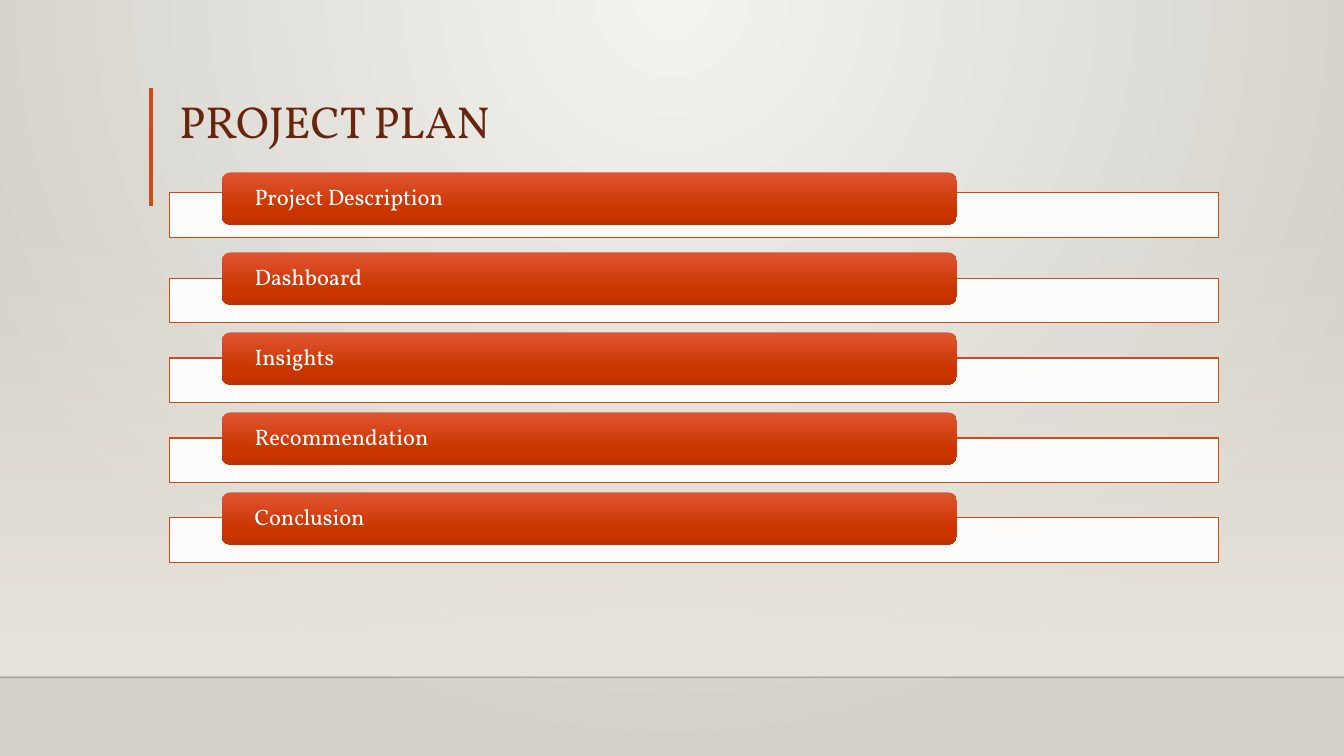
"""Build the project plan slide."""
import dataclasses
import typing

import lxml.etree
import pptx
import pptx.dml.color
import pptx.enum.shapes
import pptx.enum.text
import pptx.oxml.ns
import pptx.util

RGBColor = pptx.dml.color.RGBColor
Shapes = pptx.enum.shapes.MSO_SHAPE
Anchor = pptx.enum.text.MSO_ANCHOR
qn = pptx.oxml.ns.qn

WHITE = RGBColor(0xFF, 0xFF, 0xFF)
BLACK = RGBColor(0x00, 0x00, 0x01)
ORANGE = RGBColor(0xD3, 0x48, 0x17)
BROWN = RGBColor(0x69, 0x24, 0x0C)
BAR_TOP = RGBColor(0xDE, 0x55, 0x33)
BAR_MID = RGBColor(0xCC, 0x35, 0x00)
BAR_END = RGBColor(0xC1, 0x32, 0x00)
SAND = RGBColor(0xE9, 0xE5, 0xDC)
BG_LIGHT = RGBColor(0xF4, 0xF3, 0xF0)
BG_DARK = RGBColor(0xD3, 0xD0, 0xC8)

FONT = "Vollkorn"
WIDTH = pptx.util.Inches(13.33)
HEIGHT = pptx.util.Inches(7.5)
ROW_PITCH = 10.58


@dataclasses.dataclass(frozen=True)
class Box:
    """A rectangle in percent of the slide's width and height."""
    left: float
    top: float
    width: float
    height: float

    def emu(self) -> tuple[int, int, int, int]:
        """Return left, top, width and height in EMU."""
        return (across(self.left), down(self.top),
                across(self.width), down(self.height))

    def lower(self, by: float) -> "Box":
        """Return the box moved down."""
        return dataclasses.replace(self, top=self.top + by)


@dataclasses.dataclass(frozen=True)
class Stop:
    """A gradient stop with position and opacity in percent."""
    pos: int
    color: RGBColor
    alpha: int = 100


@dataclasses.dataclass(frozen=True)
class Step:
    """A plan step; lift raises its panel."""
    label: str
    lift: float = 0


@dataclasses.dataclass(frozen=True)
class Rule:
    """A straight line between two points in percent."""
    x1: float
    y1: float
    x2: float
    y2: float
    color: RGBColor
    weight: float
    alpha: int = 100


TITLE = Box(12.6, 11.73, 78.1, 8.53)
FLOOR = Box(0, 29.33, 100, 60)
PANEL = Box(12.6, 26.2, 78.1, 5.87)
BAR = Box(16.5, 22.8, 54.7, 6.93)
STEPS = [Step("Project Description", 0.7), Step("Dashboard"), Step("Insights"),
         Step("Recommendation"), Step("Conclusion")]
RULES = [Rule(0, 89.6, 100, 89.6, BLACK, 1, 20),
         Rule(11.25, 11.6, 11.25, 27.2, ORANGE, 3)]
BAR_STOPS = [Stop(0, BAR_TOP), Stop(69, BAR_MID), Stop(100, BAR_END)]


def across(share: float) -> int:
    """Convert percent of the slide's width to EMU."""
    return round(WIDTH * share / 100)


def down(share: float) -> int:
    """Convert percent of the slide's height to EMU."""
    return round(HEIGHT * share / 100)


def add_alpha(clr: typing.Any, alpha: int) -> None:
    """Set the opacity of a colour element."""
    lxml.etree.SubElement(clr, qn("a:alpha"), val=str(alpha * 1000))


def set_gradient(parent: typing.Any, stops: list[Stop], circle: bool = False) -> None:
    """Turn the solid fill of an element into a gradient."""
    solid = parent.find(qn("a:solidFill"))
    grad = parent.makeelement(qn("a:gradFill"), {"rotWithShape": "1"})
    gs_list = lxml.etree.SubElement(grad, qn("a:gsLst"))
    for stop in stops:
        gs = lxml.etree.SubElement(gs_list, qn("a:gs"), pos=str(stop.pos * 1000))
        clr = lxml.etree.SubElement(gs, qn("a:srgbClr"), val=str(stop.color))
        if stop.alpha < 100:
            add_alpha(clr, stop.alpha)
    if circle:
        focus = lxml.etree.SubElement(grad, qn("a:path"), {"path": "circle"})
        lxml.etree.SubElement(focus, qn("a:fillToRect"),
                              l="43000", t="0", r="43000", b="100000")
    else:
        lxml.etree.SubElement(grad, qn("a:lin"), ang="5400000", scaled="0")
    parent.replace(solid, grad)


def write_text(sp: typing.Any, text: str, *, size: float, color: RGBColor,
               anchor: Anchor, inset: float | None = None) -> None:
    """Write one formatted left-aligned paragraph."""
    tf = sp.text_frame
    tf.word_wrap = True
    tf.vertical_anchor = anchor
    if inset is not None:
        tf.margin_left = tf.margin_right = across(inset)
        tf.margin_top = tf.margin_bottom = 0
    p = tf.paragraphs[0]
    p.alignment = pptx.enum.text.PP_ALIGN.LEFT
    p.line_spacing = 0.9
    r = p.add_run()
    r.text = text
    r.font.name = FONT
    r.font.size = pptx.util.Pt(size)
    r.font.color.rgb = color


def add_box(s: typing.Any, kind: Shapes, box: Box, stops: list[Stop],
            line: RGBColor | None = None) -> typing.Any:
    """Add a shape filled with one colour or a gradient."""
    sp = s.shapes.add_shape(kind, *box.emu())
    sp.shadow.inherit = False
    sp.fill.solid()
    sp.fill.fore_color.rgb = stops[0].color
    if len(stops) > 1:
        set_gradient(sp.element.spPr, stops)
    else:
        add_alpha(sp.element.spPr.find(qn("a:solidFill"))[0], stops[0].alpha)
    if line is None:
        sp.line.fill.background()
    else:
        sp.line.color.rgb = line
        sp.line.width = pptx.util.Pt(0.75)
    return sp


def add_rule(s: typing.Any, rule: Rule) -> None:
    """Add a straight line without shadow."""
    cn = s.shapes.add_connector(pptx.enum.shapes.MSO_CONNECTOR.STRAIGHT,
                                across(rule.x1), down(rule.y1),
                                across(rule.x2), down(rule.y2))
    cn.line.color.rgb = rule.color
    cn.line.width = pptx.util.Pt(rule.weight)
    sppr = cn.element.spPr
    add_alpha(sppr.find(".//" + qn("a:srgbClr")), rule.alpha)
    lxml.etree.SubElement(sppr, qn("a:effectLst"))


def add_step(s: typing.Any, step: Step, row: int) -> None:
    """Add the panel and the labelled bar of a step."""
    drop = row * ROW_PITCH
    add_box(s, Shapes.RECTANGLE, PANEL.lower(drop - step.lift),
            [Stop(0, WHITE, 90)], ORANGE)
    bar = add_box(s, Shapes.ROUNDED_RECTANGLE, BAR.lower(drop), BAR_STOPS)
    write_text(bar, step.label, size=16, color=WHITE, anchor=Anchor.MIDDLE, inset=2.25)


def main() -> None:
    """Build and save the slide."""
    prs = pptx.Presentation()
    prs.slide_width, prs.slide_height = WIDTH, HEIGHT
    s = prs.slides.add_slide(prs.slide_layouts[5])
    s.background.fill.solid()
    set_gradient(s.element.find(".//" + qn("p:bgPr")),
                 [Stop(0, BG_LIGHT), Stop(100, BG_DARK)], circle=True)
    add_box(s, Shapes.RECTANGLE, FLOOR, [Stop(0, SAND, 0), Stop(100, SAND)])
    for rule in RULES:
        add_rule(s, rule)
    title = s.shapes.title
    title.left, title.top, title.width, title.height = TITLE.emu()
    write_text(title, "PROJECT PLAN", size=32, color=BROWN, anchor=Anchor.BOTTOM)
    for row, step in enumerate(STEPS):
        add_step(s, step, row)
    prs.save("out.pptx")


if __name__ == "__main__":
    main()
